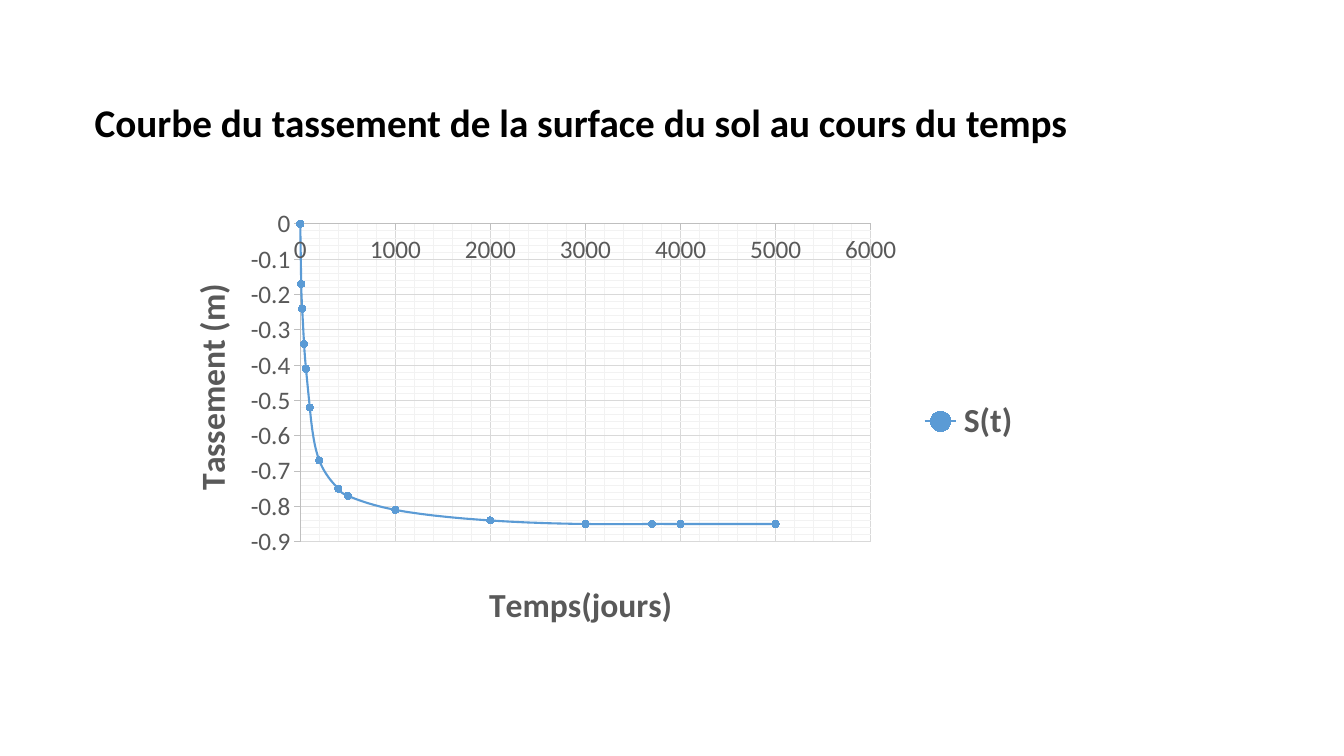
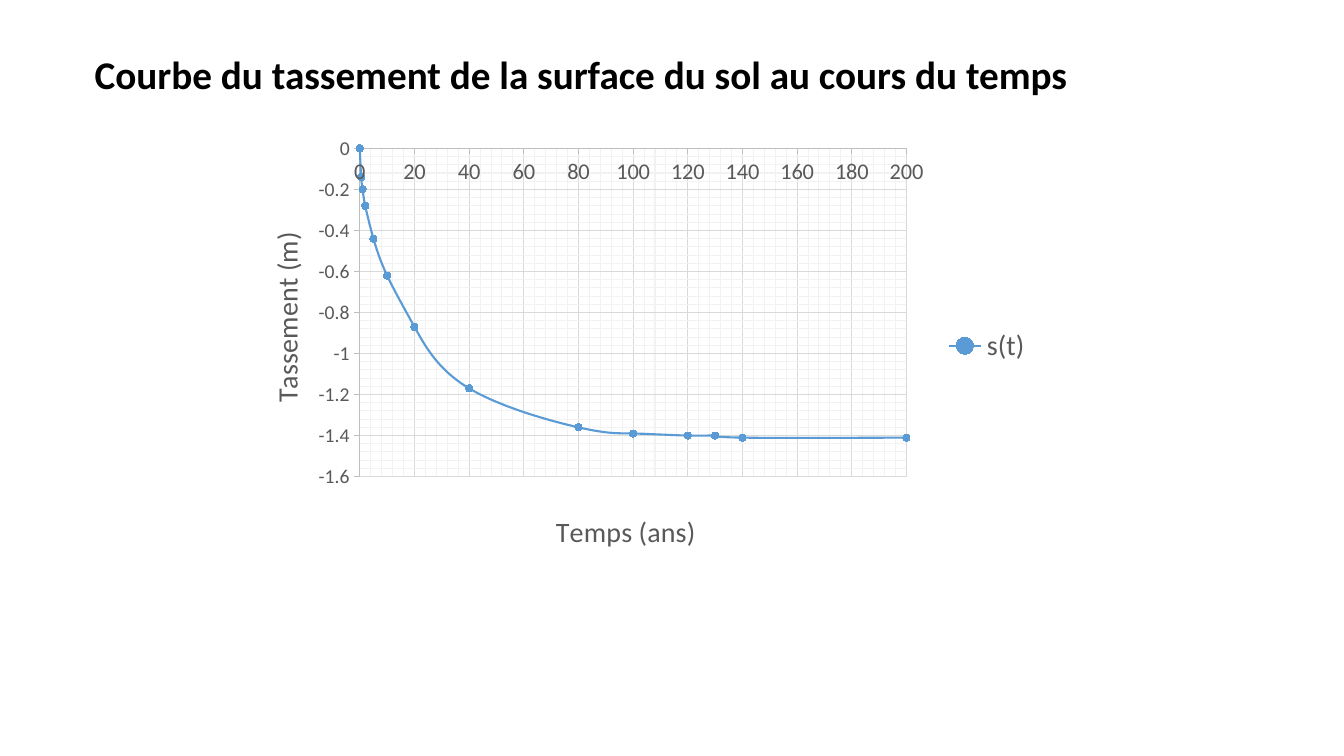
from lxml.etree import SubElement
from pptx import Presentation
from pptx.chart.data import XyChartData
from pptx.dml.color import RGBColor
from pptx.enum.chart import (XL_CHART_TYPE as ChartType, XL_LEGEND_POSITION as LegendPos,
                             XL_MARKER_STYLE as Marker, XL_TICK_MARK as Tick)
from pptx.enum.text import MSO_AUTO_SIZE as AutoSize
from pptx.oxml.ns import qn
from pptx.util import Pt

FONT = "Calibri"
BLACK, GREY, BLUE = "000000", "595959", "5B9BD5"
AXIS, MAJOR, MINOR = "BFBFBF", "D9D9D9", "F2F2F2"
TITLE = "Courbe du tassement de la surface du sol au cours du temps"


def rgb(code):
    return RGBColor.from_string(code)


def set_font(font, size, color, bold=False):
    font.name, font.size, font.bold = FONT, Pt(size), bold
    font.color.rgb = rgb(color)


def set_line(line, color, width=0.75):
    line.color.rgb = rgb(color)
    line.width = Pt(width)


def set_minor_gridlines(axis, color, width=0.75):
    axis.has_minor_gridlines = True
    grid = axis._element.find(qn("c:minorGridlines"))
    ln = SubElement(SubElement(grid, qn("c:spPr")), qn("a:ln"), w=str(Pt(width)))
    SubElement(SubElement(ln, qn("a:solidFill")), qn("a:srgbClr"), val=str(rgb(color)))


def place(element, index, frame, box):
    """Pin a chart part at box, in slide points, inside the chart frame."""
    old = element.find(qn("c:layout"))
    if old is not None:
        element.remove(old)
    layout = element.makeelement(qn("c:layout"), {})
    element.insert(index, layout)
    manual = SubElement(layout, qn("c:manualLayout"))

    def add(tag, value):
        SubElement(manual, qn(f"c:{tag}"), val=str(value))

    left, top, width, height = frame
    if len(box) == 4:
        add("layoutTarget", "inner")
    add("xMode", "edge")
    add("yMode", "edge")
    add("x", (box[0] - left) / width)
    add("y", (box[1] - top) / height)
    if len(box) == 4:
        add("w", box[2] / width)
        add("h", box[3] / height)


class Deck:
    def __init__(self):
        self.prs = Presentation()
        self.prs.slide_width, self.prs.slide_height = Pt(960), Pt(540)
        self.s = None

    def slide(self):
        self.s = self.prs.slides.add_slide(self.prs.slide_layouts[6])

    def title(self, text, top):
        sp = self.s.shapes.add_textbox(Pt(60.5), Pt(top), Pt(723.5), Pt(41))
        tf = sp.text_frame
        tf.word_wrap, tf.auto_size = False, AutoSize.SHAPE_TO_FIT_TEXT
        r = tf.paragraphs[0].add_run()
        r.text = text
        set_font(r.font, 28, BLACK, bold=True)

    def curve(self, name, points, frame, plot, x_axis, y_axis, title_size, bold=False):
        """Smooth scatter chart; each axis is (title, title position, label size)."""
        data = XyChartData()
        series = data.add_series(name)
        for x, y in points:
            series.add_data_point(x, y)
        chart = self.s.shapes.add_chart(ChartType.XY_SCATTER_SMOOTH,
                                        *map(Pt, frame), data).chart
        set_font(chart.font, 10, BLACK)
        chart.has_title = False
        chart.has_legend = True
        chart.legend.position = LegendPos.RIGHT
        chart.legend.include_in_layout = False
        set_font(chart.legend.font, title_size, GREY, bold)
        place(chart.element.find(f".//{qn('c:plotArea')}"), 0, frame, plot)
        self.series_style(chart.plots[0])
        for axis, (text, at, size) in ((chart.category_axis, x_axis),
                                       (chart.value_axis, y_axis)):
            self.axis_style(axis, size)
            self.axis_title(axis, text, title_size, bold)
            place(axis.axis_title._element, 1, frame, at)
        bodyPr = chart.value_axis.axis_title.text_frame._txBody.bodyPr
        bodyPr.set("rot", "-5400000")
        bodyPr.set("vert", "horz")
        return chart

    def series_style(self, plot):
        plot.vary_by_categories = False
        series = plot.series[0]
        series._element.find(qn("c:smooth")).set("val", "1")
        set_line(series.format.line, BLUE, 1.5)
        marker = series.marker
        marker.style, marker.size = Marker.CIRCLE, 5
        marker.format.fill.solid()
        marker.format.fill.fore_color.rgb = rgb(BLUE)
        set_line(marker.format.line, BLUE)

    def axis_style(self, axis, size):
        axis.major_tick_mark, axis.minor_tick_mark = Tick.OUTSIDE, Tick.NONE
        axis.has_major_gridlines = True
        set_line(axis.format.line, AXIS)
        set_line(axis.major_gridlines.format.line, MAJOR)
        set_minor_gridlines(axis, MINOR)
        set_font(axis.tick_labels.font, size, GREY)

    def axis_title(self, axis, text, size, bold):
        r = axis.axis_title.text_frame.paragraphs[0].add_run()
        r.text = text
        set_font(r.font, size, GREY, bold)


def main():
    deck = Deck()

    deck.slide()
    days = [0, 10, 20, 40, 60, 100, 200, 400, 500, 1000, 2000, 3000, 3700, 4000, 5000]
    settlement = [0, -0.17, -0.24, -0.34, -0.41, -0.52, -0.67, -0.75, -0.77, -0.81,
                  -0.84, -0.85, -0.85, -0.85, -0.85]
    deck.curve("S(t)", zip(days, settlement),
               frame=(110, 142.5, 627, 317), plot=(214.5, 160, 407.5, 227),
               x_axis=("Temps(jours)", (345, 411.5), 18),
               y_axis=("Tassement (m)", (131, 198.5), 18), title_size=24, bold=True)
    deck.title(TITLE, 67)

    deck.slide()
    years = [0, 0.5, 1, 2, 5, 10, 20, 40, 80, 100, 120, 130, 140, 200]
    settlement = [0, -0.14, -0.2, -0.28, -0.44, -0.62, -0.87, -1.17, -1.36, -1.39,
                  -1.4, -1.4, -1.41, -1.41]
    chart = deck.curve("s(t)", zip(years, settlement),
                       frame=(166.5, 90.5, 578, 313), plot=(257, 106, 390.5, 234.5),
                       x_axis=("Temps (ans)", (393.5, 362), 16),
                       y_axis=("Tassement (m)", (187, 162), 14), title_size=20)
    chart.category_axis.maximum_scale = 200
    deck.title(TITLE, 32.5)

    deck.prs.save("out.pptx")


if __name__ == "__main__":
    main()
